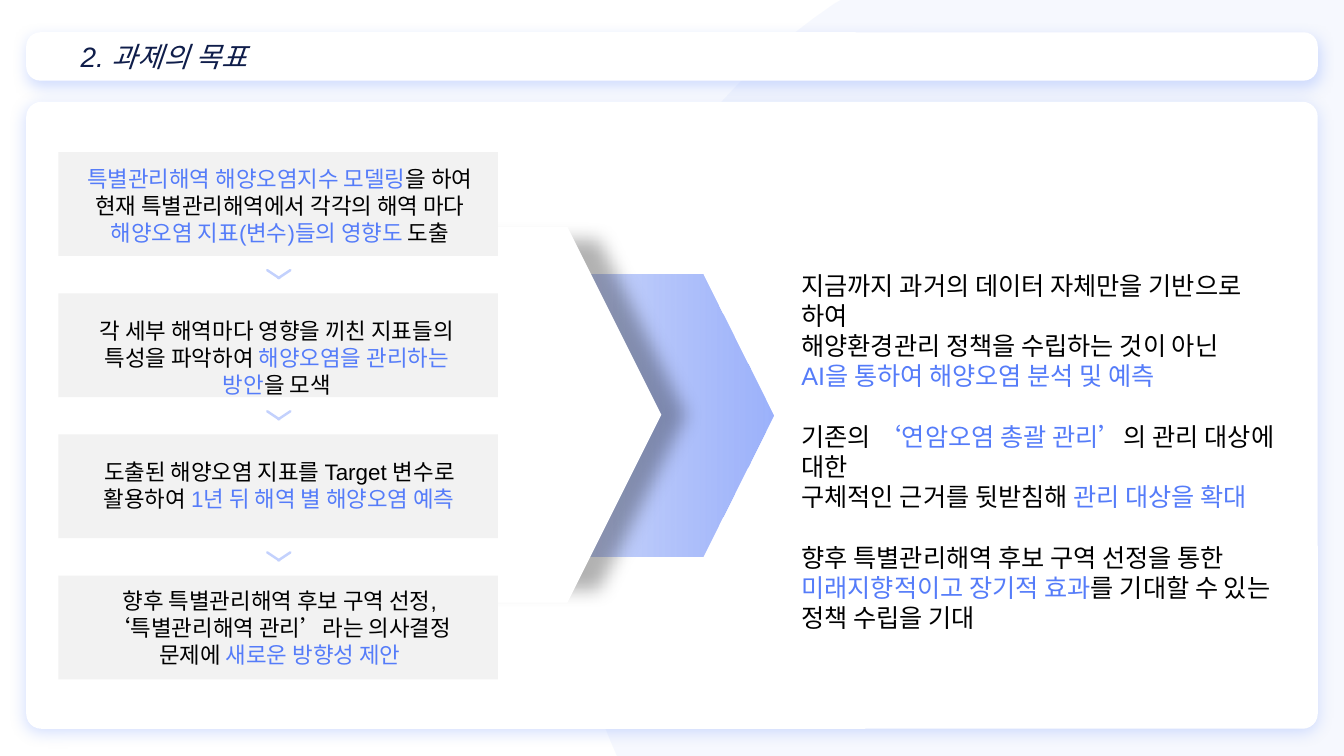
"""Build the project goals slide: four chained steps leading to the expected outcome."""
from dataclasses import dataclass
from typing import Optional

from lxml import etree
from pptx import Presentation
from pptx.dml.color import RGBColor
from pptx.enum.shapes import MSO_CONNECTOR, MSO_SHAPE
from pptx.enum.text import MSO_ANCHOR, MSO_AUTO_SIZE, PP_ALIGN
from pptx.oxml.ns import qn
from pptx.util import Inches, Pt

RECT, ROUND, HEXAGON = MSO_SHAPE.RECTANGLE, MSO_SHAPE.ROUNDED_RECTANGLE, MSO_SHAPE.HEXAGON
STRAIGHT = MSO_CONNECTOR.STRAIGHT
LEFT, CENTER = PP_ALIGN.LEFT, PP_ALIGN.CENTER
MIDDLE, TOP = MSO_ANCHOR.MIDDLE, MSO_ANCHOR.TOP
NO_FIT, GROW = MSO_AUTO_SIZE.NONE, MSO_AUTO_SIZE.SHAPE_TO_FIT_TEXT


@dataclass(frozen=True)
class Theme:
    """Colours, font and type sizes of the slide."""
    font: str = "Arial"
    white: str = "FFFFFF"
    black: str = "000000"
    navy: str = "0F1D4A"
    accent: str = "557CF9"
    tint: str = "8FACFC"
    chevron: str = "C3D1FD"
    panel: str = "F2F2F2"
    arrow_start: str = "F5F7FC"
    arrow_end: str = "849FFB"
    title: int = 20
    outcome: int = 18
    step: int = 16


@dataclass(frozen=True)
class Box:
    """Position and size in inches."""
    left: float
    top: float
    width: float
    height: float

    def lengths(self) -> tuple:
        """Return the four values as lengths."""
        return tuple(Inches(v) for v in (self.left, self.top, self.width, self.height))


@dataclass(frozen=True)
class Shadow:
    """Outer shadow: opacity and scale in percent, blur and distance in points."""
    color: str
    alpha: int
    blur: int
    dist: int
    angle: int
    scale: int = 100


@dataclass(frozen=True)
class Step:
    """Text area of a step and its lines, with highlights between asterisks."""
    area: Box
    lines: tuple


THEME = Theme()
CARD_SHADOW = Shadow(THEME.tint, 40, 11, 3, 90)
ARROW_SHADOW = Shadow(THEME.black, 30, 13, 28, 0, 93)
TITLE_CARD = Box(0.26, 0.32, 12.81, 0.48)
BODY_CARD = Box(0.26, 1.01, 12.81, 6.22)
PANEL = Box(0.58, 1.51, 4.36, 1.03)
PITCH = 1.4
STEPS = (
    Step(Box(0.68, 1.59, 4.19, 0.91), (
        "*특별관리해역 해양오염지수 모델링*을 하여",
        "현재 특별관리해역에서 각각의 해역 마다",
        "*해양오염 지표(변수)들의 영향도 *도출")),
    Step(Box(0.65, 3.1, 4.19, 0.64), (
        "각 세부 해역마다 영향을 끼친 지표들의 특성을 파악하여 *해양오염을 관리하는 방안*을 모색",)),
    Step(Box(0.93, 4.5, 3.68, 0.64), (
        "도출된 해양오염 지표를 Target 변수로 활용하여 *1년 뒤 해역 별 해양오염 예측*",)),
    Step(Box(0.85, 5.78, 3.85, 0.91), (
        "향후 특별관리해역 후보 구역 선정,",
        "‘특별관리해역 관리’라는 의사결정 문제에 *새로운 방향성 제안*")),
)
OUTCOMES = (
    ("지금까지 과거의 데이터 자체만을 기반으로 하여",
     "해양환경관리 정책을 수립하는 것이 아닌",
     "*AI을 통하여 해양오염 분석 및 예측*"),
    ("기존의 *‘연암오염 총괄 관리’*의 관리 대상에 대한",
     "구체적인 근거를 뒷받침해 *관리 대상을 확대*"),
    ("향후 특별관리해역 후보 구역 선정을 통한",
     "*미래지향적이고 장기적 효과*를 기대할 수 있는",
     "정책 수립을 기대"),
)


def add_sub(parent, tag: str, **attrs):
    """Append a drawing element with the given attributes."""
    return etree.SubElement(parent, qn(tag), {k: str(v) for k, v in attrs.items()})


def set_solid(shape, color: str, alpha: Optional[int] = None) -> None:
    """Give a shape a solid fill without outline or inherited shadow."""
    shape.fill.solid()
    shape.fill.fore_color.rgb = RGBColor.from_string(color)
    if alpha is not None:
        clr = shape.fill._xPr.find(qn("a:solidFill"))[0]
        add_sub(clr, "a:alpha", val=alpha * 1000)
    shape.line.fill.background()
    shape.shadow.inherit = False


def add_shape(s, kind, box: Box, color: str, adj: Optional[float] = None,
              shadow: Optional[Shadow] = None):
    """Add a filled preset shape."""
    sp = s.shapes.add_shape(kind, *box.lengths())
    if adj is not None:
        sp.adjustments[0] = adj
    set_solid(sp, color)
    if shadow:
        effects = sp._element.spPr.find(qn("a:effectLst"))
        outer = add_sub(effects, "a:outerShdw", blurRad=Pt(shadow.blur), dist=Pt(shadow.dist),
                        dir=shadow.angle * 60000, sx=shadow.scale * 1000,
                        sy=shadow.scale * 1000, algn="ctr", rotWithShape=0)
        clr = add_sub(outer, "a:srgbClr", val=shadow.color)
        add_sub(clr, "a:alpha", val=shadow.alpha * 1000)
    return sp


def write(tf, groups, *, size: int, color: str = THEME.black, align=LEFT, italic: bool = False,
          anchor=TOP, fit=GROW, gap: float = 0) -> None:
    """Write groups of lines, colouring text between asterisks and spacing groups by gap."""
    tf.word_wrap = True
    tf.auto_size = fit
    tf.vertical_anchor = anchor
    rows = [(line, i > 0 and j == 0) for i, g in enumerate(groups) for j, line in enumerate(g)]
    for n, (line, spaced) in enumerate(rows):
        p = tf.add_paragraph() if n else tf.paragraphs[0]
        p.alignment = align
        p.space_before = Pt(gap if spaced else 0)
        for k, part in enumerate(line.split("*")):
            if part:
                r = p.add_run()
                r.text = part
                r.font.name = THEME.font
                r.font.size = Pt(size)
                r.font.italic = italic
                r.font.color.rgb = RGBColor.from_string(THEME.accent if k % 2 else color)


def add_text(s, box: Box, groups, **style) -> None:
    """Add a text box."""
    write(s.shapes.add_textbox(*box.lengths()).text_frame, groups, **style)


def bezier(points, steps: int = 24) -> list:
    """Sample a cubic curve, leaving out its first point."""
    result = []
    for n in range(1, steps + 1):
        t = n / steps
        weights = ((1 - t) ** 3, 3 * t * (1 - t) ** 2, 3 * t * t * (1 - t), t ** 3)
        result.append(tuple(sum(w * p[a] for w, p in zip(weights, points)) for a in (0, 1)))
    return result


def add_backdrop(s) -> None:
    """Draw the pale curved area on the right."""
    lower = bezier(((6.08, 7.41), (5.77, 6.69), (5.6, 5.89), (5.6, 5.06)))
    upper = bezier(((5.6, 5.06), (5.6, 2.97), (6.66, 1.13), (8.27, 0.04)))
    outline = [(13.33, 0), (13.33, 7.5), (6.12, 7.5), (6.08, 7.41), *lower, *upper]
    fb = s.shapes.build_freeform(Inches(8.34), 0, scale=1.0)
    fb.add_line_segments([(Inches(x), Inches(y)) for x, y in outline], close=True)
    set_solid(fb.convert_to_shape(), THEME.tint, alpha=8)


def add_arrow(s) -> None:
    """Draw the gradient arrow cut by a white hexagon."""
    sp = add_shape(s, HEXAGON, Box(4.43, 2.72, 3.24, 2.8), THEME.arrow_end, 0.25)
    sp.fill.gradient()
    sp.fill.gradient_angle = 0
    for stop, color in zip(sp.fill.gradient_stops, (THEME.arrow_start, THEME.arrow_end)):
        stop.color.rgb = RGBColor.from_string(color)
    add_sub(sp._element.spPr.findall(".//" + qn("a:srgbClr"))[-1], "a:alpha", val=80000)
    add_shape(s, HEXAGON, Box(2.23, 2.25, 4.33, 3.73), THEME.white, 0.25, ARROW_SHADOW)


def add_chevron(s, top: float) -> None:
    """Draw a small downward chevron from two lines."""
    for start, end in ((2.65, 2.77), (2.88, 2.76)):
        ln = s.shapes.add_connector(STRAIGHT, Inches(start), Inches(top),
                                    Inches(end), Inches(top + 0.08))
        ln.line.color.rgb = RGBColor.from_string(THEME.chevron)
        ln.line.width = Pt(1.75)
        ln._element.spPr.find(qn("a:ln")).set("cap", "rnd")
        add_sub(ln._element.spPr, "a:effectLst")


def add_title(s) -> None:
    """Place the title on its card."""
    add_shape(s, ROUND, TITLE_CARD, THEME.white, 0.292, CARD_SHADOW)
    title = s.shapes.title
    title.left, title.top, title.width, title.height = TITLE_CARD.lengths()
    title._element.getparent().append(title._element)
    title.text_frame.margin_left = Inches(0.54)
    write(title.text_frame, (("2. 과제의 목표",),), size=THEME.title, color=THEME.navy,
          italic=True, anchor=MIDDLE, fit=NO_FIT)


def main() -> None:
    """Build and save the slide."""
    prs = Presentation()
    prs.slide_width, prs.slide_height = Inches(13.33), Inches(7.5)
    s = prs.slides.add_slide(prs.slide_layouts.get_by_name("Title Only"))
    add_backdrop(s)
    add_shape(s, ROUND, BODY_CARD, THEME.white, 0.024, CARD_SHADOW)
    add_arrow(s)
    for i, step in enumerate(STEPS):
        top = PANEL.top + i * PITCH
        add_shape(s, RECT, Box(PANEL.left, top, PANEL.width, PANEL.height), THEME.panel)
        add_text(s, step.area, (step.lines,), size=THEME.step, align=CENTER)
        if i:
            add_chevron(s, top - 0.23)
    add_text(s, Box(7.85, 2.63, 5.02, 3.13), OUTCOMES, size=THEME.outcome, gap=21.6)
    add_title(s)
    prs.save("out.pptx")


if __name__ == "__main__":
    main()
